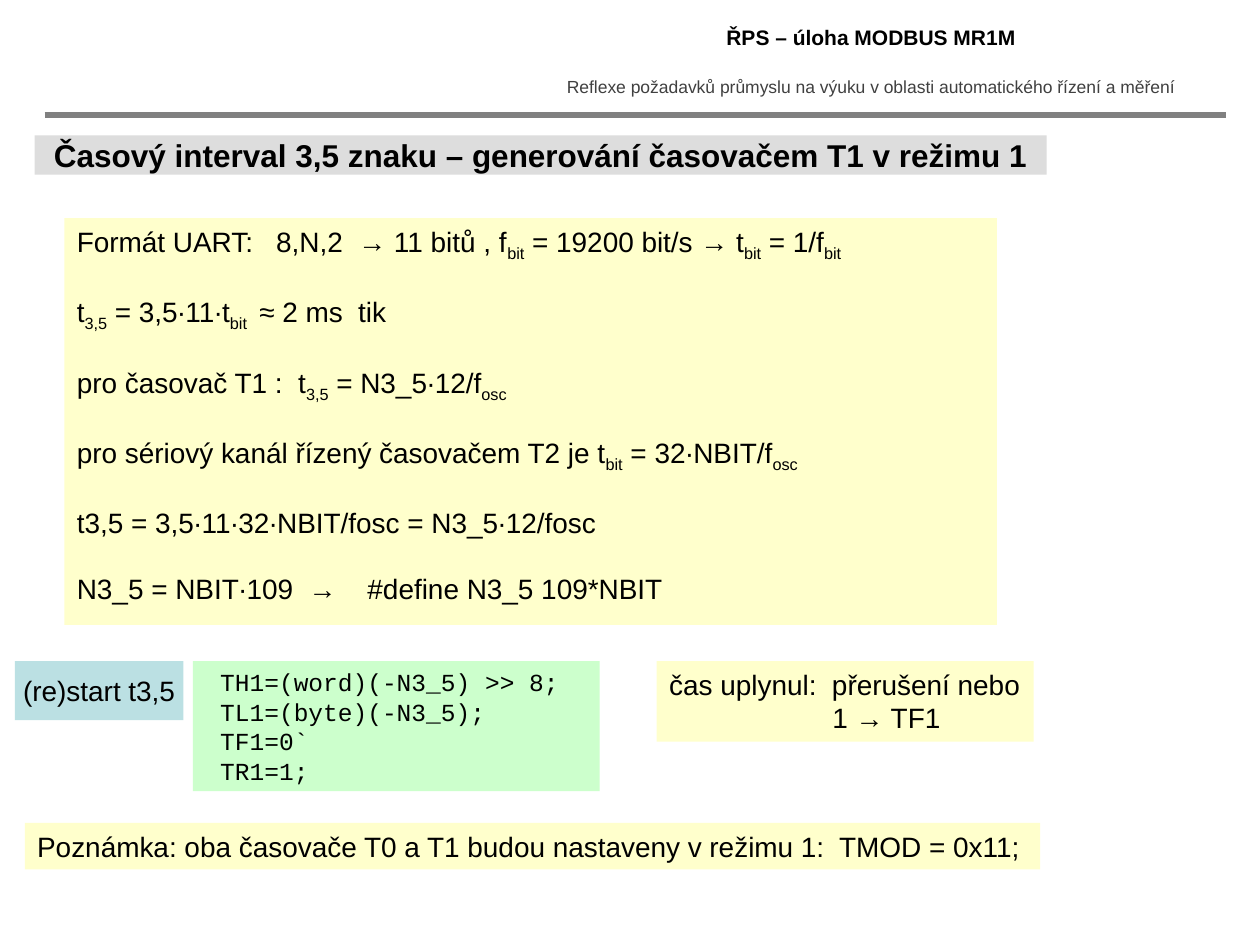
from pptx import Presentation
from pptx.dml.color import RGBColor
from pptx.enum.shapes import MSO_CONNECTOR, MSO_SHAPE
from pptx.enum.text import MSO_ANCHOR, PP_ALIGN
from pptx.oxml.ns import qn
from pptx.util import Cm, Pt
from lxml.etree import SubElement

BLACK = RGBColor(0x00, 0x00, 0x00)
DARK_GREY = RGBColor(0x40, 0x40, 0x40)
RULE_GREY = RGBColor(0x80, 0x80, 0x80)
TITLE_GREY = RGBColor(0xDD, 0xDD, 0xDD)
YELLOW = RGBColor(0xFF, 0xFF, 0xCC)
GREEN = RGBColor(0xCC, 0xFF, 0xCC)
BLUE = RGBColor(0xBB, 0xE0, 0xE3)


def write_lines(box, lines, size, font="Arial", color=BLACK, bold=False,
                align=PP_ALIGN.LEFT, anchor=MSO_ANCHOR.TOP, wrap=True, gap=0):
    frame = box.text_frame
    frame.word_wrap = wrap
    frame.vertical_anchor = anchor
    for index, line in enumerate(lines):
        para = frame.add_paragraph() if index else frame.paragraphs[0]
        para.alignment = align
        para.font.size = Pt(size)
        para.font.name = font
        para.font.bold = bold
        para.font.color.rgb = color
        if index and gap:
            para.space_before = Pt(gap)
        for position, piece in enumerate(line.split("~")):
            if piece:
                span = para.add_run()
                span.text = piece
                if position % 2:
                    span.font._element.set("baseline", "-25000")
    return frame


def add_panel(left, top, width, height, fill, lines, size, **style):
    box = page.shapes.add_shape(MSO_SHAPE.RECTANGLE, Cm(left), Cm(top), Cm(width), Cm(height))
    box.shadow.inherit = False
    box.fill.solid()
    box.fill.fore_color.rgb = fill
    box.line.fill.background()
    return write_lines(box, lines, size, **style)


deck = Presentation()
deck.slide_width = Cm(25.4)
deck.slide_height = Cm(19.05)
page = deck.slides.add_slide(deck.slide_layouts[6])

subject = page.shapes.add_textbox(Cm(10.92), Cm(1.4), Cm(13.26), Cm(0.69))
write_lines(subject, ["Reflexe požadavků průmyslu na výuku v oblasti automatického řízení a měření"],
            10, color=DARK_GREY, align=PP_ALIGN.CENTER)
course = page.shapes.add_textbox(Cm(10.92), Cm(0.38), Cm(13.28), Cm(0.79))
write_lines(course, ["ŘPS – úloha MODBUS MR1M"], 12, bold=True, align=PP_ALIGN.CENTER)

rule = page.shapes.add_connector(MSO_CONNECTOR.STRAIGHT, Cm(0.9), Cm(2.32), Cm(24.71), Cm(2.32))
rule.line.color.rgb = RULE_GREY
rule.line.width = Pt(3)
SubElement(rule._element.spPr, qn("a:effectLst"))

add_panel(0.7, 2.73, 20.4, 0.79, TITLE_GREY,
          ["Časový interval 3,5 znaku – generování časovačem T1 v režimu 1"], 18,
          bold=True, align=PP_ALIGN.CENTER, anchor=MSO_ANCHOR.MIDDLE, wrap=False)

formulas = [
    "Formát UART:   8,N,2  → 11 bitů , f~bit~ = 19200 bit/s → t~bit~ = 1/f~bit~",
    "t~3,5~ = 3,5∙11∙t~bit ~ ≈ 2 ms  tik",
    "pro časovač T1 :  t~3,5~ = N3_5∙12/f~osc~",
    "pro sériový kanál řízený časovačem T2 je t~bit~ = 32∙NBIT/f~osc~",
    "t3,5 = 3,5∙11∙32∙NBIT/fosc = N3_5∙12/fosc",
    "N3_5 = NBIT∙109  →    #define N3_5 109*NBIT",
]
add_panel(1.3, 4.4, 18.8, 8.2, YELLOW, formulas, 16, gap=18.4)

code = ["TH1=(word)(-N3_5) >> 8;", "TL1=(byte)(-N3_5);", "TF1=0`", "TR1=1;"]
code_frame = add_panel(3.89, 13.33, 8.2, 2.62, GREEN, code, 14, font="Courier New")
code_frame.margin_left = Cm(0.55)

add_panel(0.3, 13.33, 3.4, 1.19, BLUE, ["(re)start t3,5"], 16,
          align=PP_ALIGN.CENTER, anchor=MSO_ANCHOR.MIDDLE, wrap=False)

timeout = add_panel(13.24, 13.33, 7.6, 1.62, YELLOW,
                    ["čas uplynul:  přerušení nebo", "1 → TF1"], 16)
timeout.margin_right = 0
timeout.paragraphs[1]._p.get_or_add_pPr().set("marL", str(Cm(3.29)))

add_panel(0.5, 16.59, 20.47, 0.94, YELLOW,
          ["Poznámka: oba časovače T0 a T1 budou nastaveny v režimu 1:  TMOD = 0x11;"], 16,
          wrap=False)

deck.save("out.pptx")
